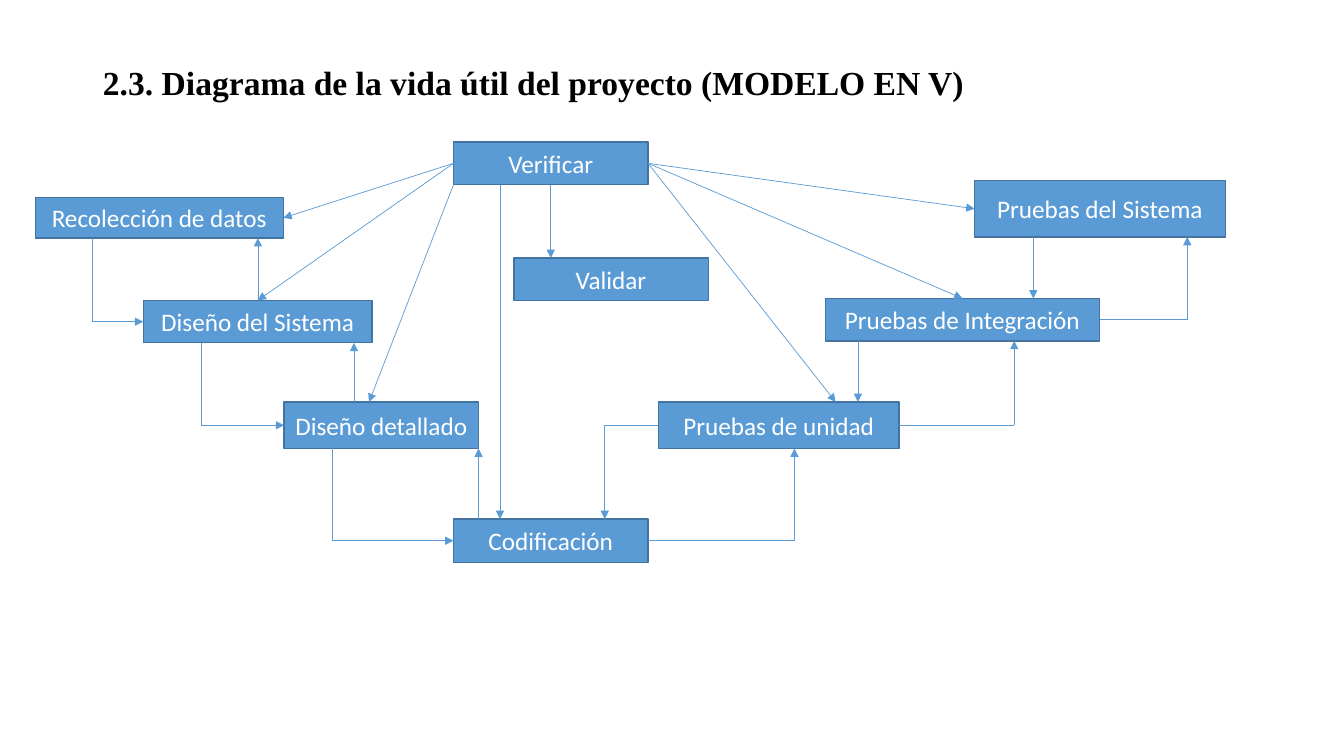
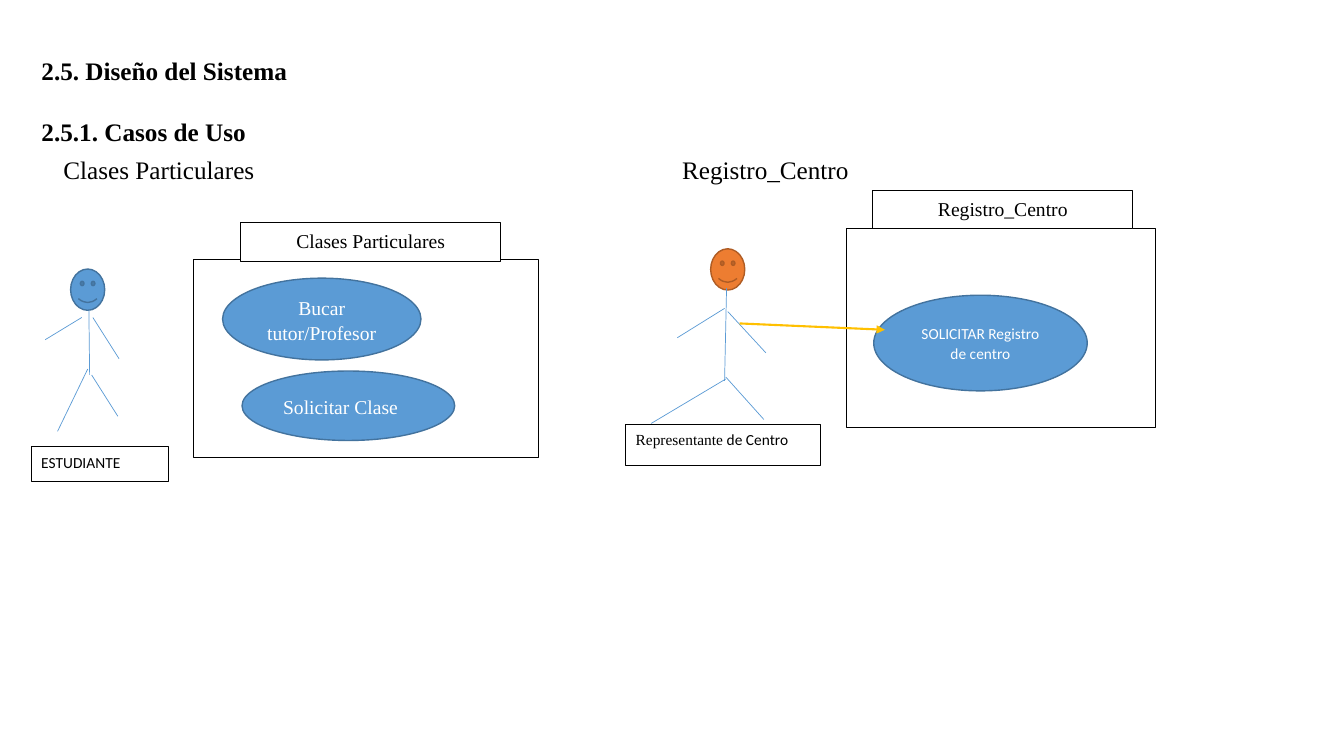
"""Builds two slides: the V-model diagram and the use cases."""
from dataclasses import dataclass
from typing import Any

from pptx import Presentation
from pptx.dml.color import RGBColor
from pptx.enum import shapes, text
from pptx.oxml import ns, xmlchemy
from pptx.util import Cm, Pt

BLACK = RGBColor(0x00, 0x00, 0x00)
WHITE = RGBColor(0xFF, 0xFF, 0xFF)
BLUE = RGBColor(0x5B, 0x9B, 0xD5)
DARK_BLUE = RGBColor(0x43, 0x73, 0x9E)
ORANGE = RGBColor(0xED, 0x7D, 0x31)
DARK_ORANGE = RGBColor(0xAF, 0x5C, 0x24)
GOLD = RGBColor(0xFF, 0xC0, 0x00)

SANS = "Calibri"
SERIF = "Times New Roman"
TOP, LEFT, BOTTOM, RIGHT = range(4)
KINDS = shapes.MSO_SHAPE
ALIGN = text.PP_ALIGN
ANCHOR = text.MSO_ANCHOR


@dataclass
class Dock:
    """A line end, glued to a box side when a box is given."""
    x: int
    y: int
    box: Any = None
    site: int = TOP


def point(x, y):
    """Return a free line end."""
    return Dock(Cm(x), Cm(y))


def edge(box, site, x=None):
    """Return the middle of a box side, or a free spot on it at x."""
    across = {LEFT: 0, RIGHT: box.width}.get(site, box.width // 2)
    down = {TOP: 0, BOTTOM: box.height}.get(site, box.height // 2)
    if x is None:
        return Dock(box.left + across, box.top + down, box, site)
    return Dock(Cm(x), box.top + down)


class Deck:
    """Holds the shared style and the current slide."""

    def __init__(self):
        """Start a widescreen deck."""
        self.deck = Presentation()
        self.deck.slide_width, self.deck.slide_height = Cm(33.87), Cm(19.05)
        self.page = None

    def add_spans(self, para, runs, size, color, bold=False):
        """Add (text, font) runs to a paragraph."""
        for words, font in runs:
            span = para.add_run()
            span.text = words
            span.font.name, span.font.size, span.font.bold = font, Pt(size), bold
            span.font.color.rgb = color

    def add_page(self, lines, area, size, spacing):
        """Add a slide whose title holds the given lines."""
        self.page = self.deck.slides.add_slide(self.deck.slide_layouts[5])
        title = self.page.shapes.title
        title.left, title.top, title.width, title.height = map(Cm, area)
        frame = title.text_frame
        frame.auto_size = text.MSO_AUTO_SIZE.NONE
        frame.vertical_anchor = ANCHOR.MIDDLE
        para = frame.paragraphs[0]
        para.alignment, para.line_spacing = ALIGN.LEFT, spacing
        for number, line in enumerate(lines):
            if number:
                para.add_line_break()
            self.add_spans(para, [(line, SERIF)], size, BLACK, bold=True)

    def add_heading(self, words, area):
        """Add a plain line of text."""
        box = self.page.shapes.add_textbox(*map(Cm, area))
        box.text_frame.word_wrap = True
        self.add_spans(box.text_frame.paragraphs[0], [(words, SERIF)], 18, BLACK)

    def add_shape(self, kind, area, fill=BLUE, line=DARK_BLUE, weight=1):
        """Add a filled and outlined preset shape."""
        box = self.page.shapes.add_shape(kind, *map(Cm, area))
        box.shadow.inherit = False
        box.fill.solid()
        box.fill.fore_color.rgb = fill
        box.line.color.rgb = line
        box.line.width = Pt(weight)
        return box

    def label(self, box, runs, size, color=WHITE, align=ALIGN.CENTER,
              anchor=ANCHOR.MIDDLE, spaced=True):
        """Put text inside a shape."""
        box.text_frame.vertical_anchor = anchor
        para = box.text_frame.paragraphs[0]
        para.alignment = align
        if spaced:
            para.line_spacing, para.space_after = 1.07, Pt(8)
        self.add_spans(para, runs, size, color)

    def add_stage(self, words, area):
        """Add a stage of the V-model."""
        box = self.add_shape(KINDS.RECTANGLE, area)
        self.label(box, [(words, SANS)], 18, spaced=False)
        return box

    def add_case(self, runs, area, size=14, align=ALIGN.CENTER):
        """Add a use case ellipse."""
        self.label(self.add_shape(KINDS.OVAL, area), runs, size, align=align)

    def add_plate(self, area, runs=(), size=14, align=ALIGN.CENTER, weight=0.75):
        """Add a white box with a black outline."""
        box = self.add_shape(KINDS.RECTANGLE, area, WHITE, BLACK, weight)
        self.label(box, runs, size, BLACK, align, ANCHOR.TOP)

    def add_line(self, start, end, arrow=True, color=BLUE, weight=0.5):
        """Draw a straight line, glued where its ends allow."""
        line = self.page.shapes.add_connector(
            shapes.MSO_CONNECTOR.STRAIGHT, start.x, start.y, end.x, end.y)
        if start.box is not None:
            line.begin_connect(start.box, start.site)
        if end.box is not None:
            line.end_connect(end.box, end.site)
        line.line.color.rgb = color
        line.line.width = Pt(weight)
        props = line._element.spPr
        if arrow:
            head = xmlchemy.OxmlElement("a:tailEnd")
            head.set("type", "triangle")
            props.find(ns.qn("a:ln")).append(head)
        props.append(xmlchemy.OxmlElement("a:effectLst"))

    def add_elbow(self, start, end, upright):
        """Draw two lines that meet at a right angle."""
        corner = Dock(start.x, end.y) if upright else Dock(end.x, start.y)
        self.add_line(start, corner, arrow=False)
        self.add_line(corner, end)

    def add_actor(self, left, top, limbs, fill=BLUE, line=DARK_BLUE):
        """Draw a stick figure."""
        self.add_shape(KINDS.SMILEY_FACE, (left, top, 0.86, 1.04), fill, line)
        for x1, y1, x2, y2 in limbs:
            self.add_line(point(x1, y1), point(x2, y2), arrow=False)


def build_model(deck):
    """Build the V-model slide."""
    deck.add_page(["2.3. Diagrama de la vida útil del proyecto (MODELO EN V)"],
                  (2.34, 1.02, 29.21, 2.21), 24, 0.9)
    gather = deck.add_stage("Recolección de datos", (0.89, 4.98, 6.25, 1.02))
    design = deck.add_stage("Diseño del Sistema", (3.61, 7.57, 5.77, 1.07))
    detail = deck.add_stage("Diseño detallado", (7.16, 10.13, 4.9, 1.17))
    code = deck.add_stage("Codificación", (11.43, 13.08, 4.9, 1.09))
    unit = deck.add_stage("Pruebas de unidad", (16.59, 10.13, 6.07, 1.17))
    joint = deck.add_stage("Pruebas de Integración", (20.8, 7.52, 6.91, 1.07))
    system = deck.add_stage("Pruebas del Sistema", (24.56, 4.55, 6.32, 1.42))
    verify = deck.add_stage("Verificar", (11.43, 3.58, 4.9, 1.07))
    validate = deck.add_stage("Validar", (12.95, 6.5, 4.9, 1.07))

    for upper, x, lower in ((gather, 2.34, design), (design, 5.07, detail),
                            (detail, 8.37, code)):
        deck.add_elbow(edge(upper, BOTTOM, x), edge(lower, LEFT), upright=True)
    for lower, x, upper in ((code, 20.02, unit), (unit, 25.56, joint),
                            (joint, 29.92, system)):
        deck.add_elbow(edge(lower, RIGHT), edge(upper, BOTTOM, x), upright=False)
    deck.add_elbow(edge(unit, LEFT), edge(code, TOP, 15.24), upright=False)

    for lower, x, upper in ((design, 6.5, gather), (detail, 8.92, design),
                            (code, 12.06, detail)):
        deck.add_line(edge(lower, TOP, x), edge(upper, BOTTOM, x))
    for upper, x, lower in ((joint, 21.62, unit), (system, 26.04, joint),
                            (verify, 12.6, code)):
        deck.add_line(edge(upper, BOTTOM, x), edge(lower, TOP, x))

    for start, end in (
            (edge(verify, LEFT), edge(gather, RIGHT)),
            (edge(verify, LEFT), edge(design, TOP)),
            (edge(verify, BOTTOM, 11.43), edge(detail, TOP, 9.3)),
            (edge(verify, BOTTOM), edge(validate, TOP, 13.88)),
            (edge(verify, RIGHT), edge(system, LEFT)),
            (edge(verify, RIGHT), edge(joint, TOP)),
            (edge(verify, RIGHT), edge(unit, TOP, 21.06))):
        deck.add_line(start, end)


def build_cases(deck):
    """Build the use case slide."""
    deck.add_page(["2.5. Diseño del Sistema", "2.5.1. Casos de Uso"],
                  (0.79, 0.94, 29.21, 2.44), 18, 2.0)
    classes, centre = "Clases Particulares", "Registro_Centro"
    for words, left in ((classes, 1.35), (centre, 16.94)):
        deck.add_heading(words, (left, 3.76, 7.01, 1.02))

    deck.add_actor(1.78, 6.78, (
        (2.24, 7.82, 2.26, 9.45), (2.21, 9.3, 1.45, 10.87),
        (2.31, 9.45, 2.97, 10.49), (2.34, 8, 3, 9.04), (2.06, 8, 1.14, 8.56)))
    deck.add_plate((0.79, 11.25, 3.45, 0.89), [("ESTUDIANTE", SANS)],
                   11, ALIGN.LEFT, 0.5)
    deck.add_plate((4.88, 6.53, 8.69, 5))
    deck.add_case([("Bucar tutor/Profesor", SERIF)], (5.61, 7.01, 5, 2.06))
    deck.add_case([("Solicitar Clase", SERIF)], (6.1, 9.35, 5.36, 1.75),
                  align=ALIGN.LEFT)
    deck.add_plate((6.07, 5.61, 6.55, 0.97), [(classes, SERIF)])

    deck.add_actor(17.91, 6.27, (
        (18.31, 7.26, 18.26, 9.6), (18.29, 9.55, 16.41, 10.67),
        (18.29, 9.5, 19.25, 10.57), (18.34, 7.85, 19.3, 8.89),
        (18.26, 7.77, 17.07, 8.51)), ORANGE, DARK_ORANGE)
    deck.add_plate((15.77, 10.69, 4.9, 1.04),
                   [("Representante", SERIF), (" de Centro", SANS)],
                   11, ALIGN.LEFT, 0.5)
    deck.add_plate((21.34, 5.77, 7.77, 5))
    deck.add_plate((22, 4.8, 6.55, 0.97), [(centre, SERIF)])
    deck.add_case([("SOLICITAR Registro de centro", SANS)],
                  (22.02, 7.44, 5.38, 2.41), 11)
    deck.add_line(point(18.64, 8.15), point(22.3, 8.31), color=GOLD, weight=1.5)


def main():
    """Build and save the deck."""
    deck = Deck()
    build_model(deck)
    build_cases(deck)
    deck.deck.save("out.pptx")


if __name__ == "__main__":
    main()
